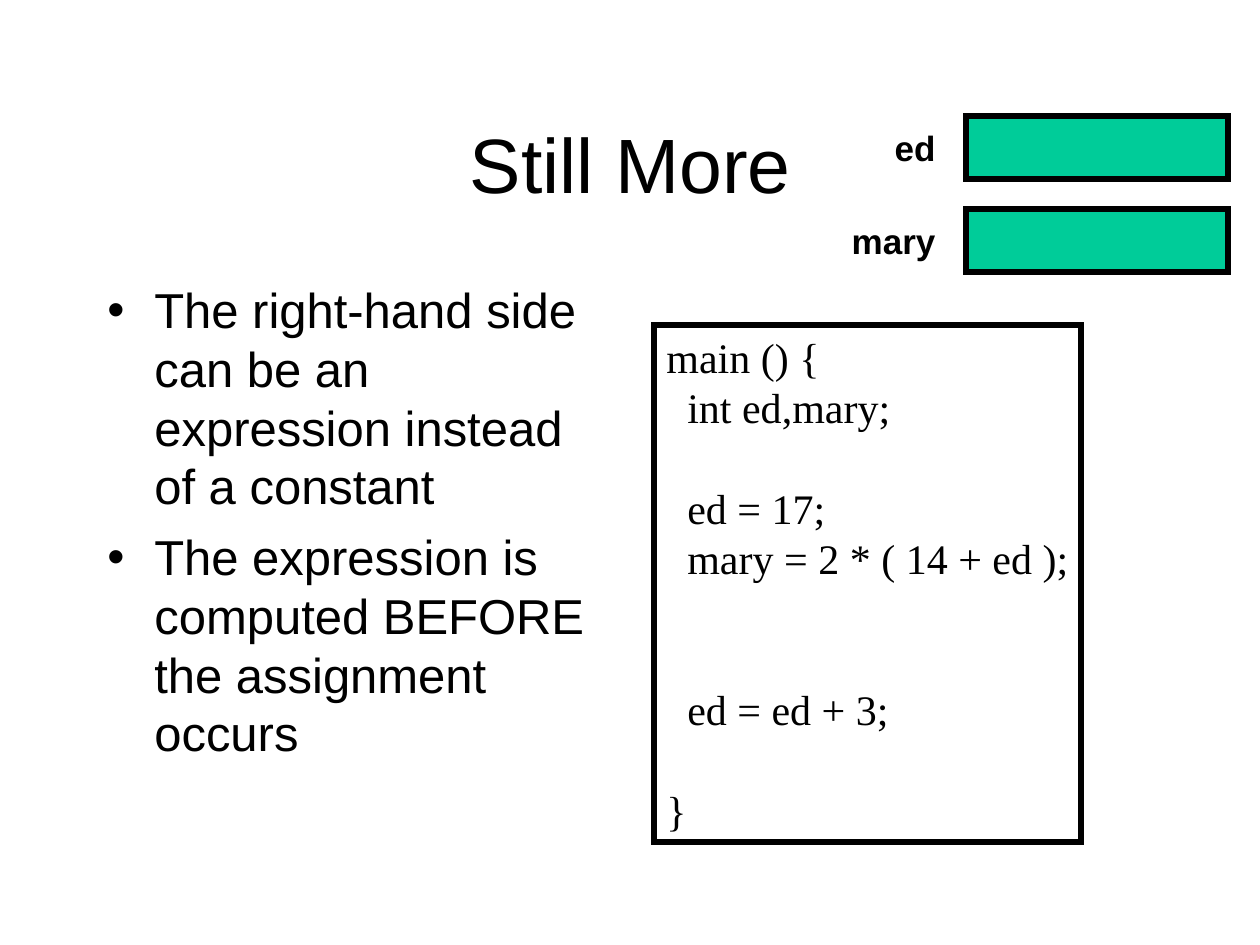
"""Build the slide on assignment expressions with two variable boxes."""
from lxml import etree
from pptx import Presentation
from pptx.dml.color import RGBColor
from pptx.enum.shapes import MSO_SHAPE
from pptx.enum.text import MSO_ANCHOR, MSO_AUTO_SIZE, PP_ALIGN
from pptx.oxml.ns import qn
from pptx.util import Emu, Pt

RECTANGLE = MSO_SHAPE.RECTANGLE
TOP, MIDDLE = MSO_ANCHOR.TOP, MSO_ANCHOR.MIDDLE
FIT_SHAPE = MSO_AUTO_SIZE.SHAPE_TO_FIT_TEXT
LEFT, CENTER, RIGHT = PP_ALIGN.LEFT, PP_ALIGN.CENTER, PP_ALIGN.RIGHT

TITLE = "Still More"
POINTS = [
    "The right-hand side can be an expression instead of a constant",
    "The expression is computed BEFORE the assignment occurs",
]
CODE = [
    {"line": "main () {", "level": 0, "blanks": 0},
    {"line": "int ed,mary;", "level": 1, "blanks": 0},
    {"line": "ed = 17;", "level": 1, "blanks": 1},
    {"line": "mary = 2 * ( 14 + ed );", "level": 1, "blanks": 0},
    {"line": "ed = ed + 3;", "level": 1, "blanks": 2},
    {"line": "}", "level": 0, "blanks": 1},
]
VARIABLES = [("ed", 66), ("mary", 110)]

THEME = {
    "ink": RGBColor(0, 0, 0),
    "memory": RGBColor(0x00, 0xCC, 0x99),
    "outline": Pt(3),
    "title": {"name": "Arial", "size": Pt(44), "bold": False},
    "point": {"name": "Arial", "size": Pt(28), "bold": False},
    "code": {"name": "Times New Roman", "size": Pt(24), "bold": False},
    "label": {"name": "Arial", "size": Pt(20), "bold": True},
}
POINT_PITCH, CODE_PITCH = Pt(33.5), Pt(28.8)
CODE_INDENT, POINT_INDENT = 21, 47
SLIDE = (1260, 945)
TITLE_BOX = (95, 84, 1071, 158)
POINTS_BOX = (95, 274, 525, 567)
CODE_BOX = (654, 325, 427, 517)
MEMORY_LEFT, MEMORY_TOP, MEMORY_WIDTH, MEMORY_HEIGHT = 966, 116, 262, 63
MEMORY_STEP, LABEL_RIGHT, LABEL_HEIGHT, LABEL_DROP = 93, 948, 55, 4


def px(length):
    """Turn picture pixels into EMU."""
    return Emu(round(length * 914400 / 126))


def assign(target, values):
    """Set each named attribute on the target."""
    for name, value in values.items():
        setattr(target, name, value)


def prepare(frame, **settings):
    """Set the insets, wrapping, anchor and fit of a text frame."""
    assign(frame, {
        "margin_left": px(12.6), "margin_right": px(12.6),
        "margin_top": px(6.3), "margin_bottom": px(6.3),
        "word_wrap": True, "vertical_anchor": TOP, **settings,
    })
    return frame


def write(frame, index, text, style, **layout):
    """Write one paragraph and return its properties element."""
    paragraph = frame.add_paragraph() if index else frame.paragraphs[0]
    assign(paragraph, layout)
    run = paragraph.add_run()
    run.text = text
    assign(run.font, THEME[style])
    run.font.color.rgb = THEME["ink"]
    return paragraph._p.get_or_add_pPr()


def add_box(shapes, box, fill=None):
    """Add a rectangle outlined with square corners."""
    rectangle = shapes.add_shape(RECTANGLE, *map(px, box))
    rectangle.shadow.inherit = False
    rectangle.line.color.rgb = THEME["ink"]
    rectangle.line.width = THEME["outline"]
    outline = rectangle._element.spPr.find(qn("a:ln"))
    etree.SubElement(outline, qn("a:miter")).set("lim", "800000")
    if fill is None:
        rectangle.fill.background()
    else:
        rectangle.fill.solid()
        rectangle.fill.fore_color.rgb = fill
    return rectangle


def add_title(title):
    """Place and write the title."""
    assign(title, dict(zip(("left", "top", "width", "height"), map(px, TITLE_BOX))))
    frame = prepare(title.text_frame, vertical_anchor=MIDDLE)
    write(frame, 0, TITLE, "title", alignment=CENTER)


def add_points(shapes):
    """Add the bulleted points."""
    frame = prepare(shapes.add_textbox(*map(px, POINTS_BOX)).text_frame)
    for index, point in enumerate(POINTS):
        properties = write(frame, index, point, "point", alignment=LEFT,
                           line_spacing=POINT_PITCH, space_before=Pt(7 if index else 0))
        properties.set("marL", str(px(POINT_INDENT)))
        properties.set("indent", str(-px(POINT_INDENT)))
        etree.SubElement(properties, qn("a:buFont")).set("typeface", "Arial")
        etree.SubElement(properties, qn("a:buChar")).set("char", "\u2022")


def add_code(shapes):
    """Add the framed program."""
    frame = prepare(add_box(shapes, CODE_BOX).text_frame, word_wrap=False)
    for index, entry in enumerate(CODE):
        properties = write(frame, index, entry["line"], "code", alignment=LEFT,
                           line_spacing=CODE_PITCH,
                           space_before=Emu(entry["blanks"] * CODE_PITCH))
        properties.set("marL", str(px(entry["level"] * CODE_INDENT)))


def add_variables(shapes):
    """Add each variable's memory box and label."""
    for index, (variable, width) in enumerate(VARIABLES):
        top = MEMORY_TOP + index * MEMORY_STEP
        add_box(shapes, (MEMORY_LEFT, top, MEMORY_WIDTH, MEMORY_HEIGHT), THEME["memory"])
        label_box = (LABEL_RIGHT - width, top + LABEL_DROP, width, LABEL_HEIGHT)
        label = shapes.add_textbox(*map(px, label_box))
        frame = prepare(label.text_frame, word_wrap=False, auto_size=FIT_SHAPE)
        write(frame, 0, variable, "label", alignment=RIGHT)


deck = Presentation()
deck.slide_width, deck.slide_height = map(px, SLIDE)
slide = deck.slides.add_slide(deck.slide_layouts[5])
add_title(slide.shapes.title)
add_code(slide.shapes)
add_points(slide.shapes)
add_variables(slide.shapes)
deck.save("out.pptx")
